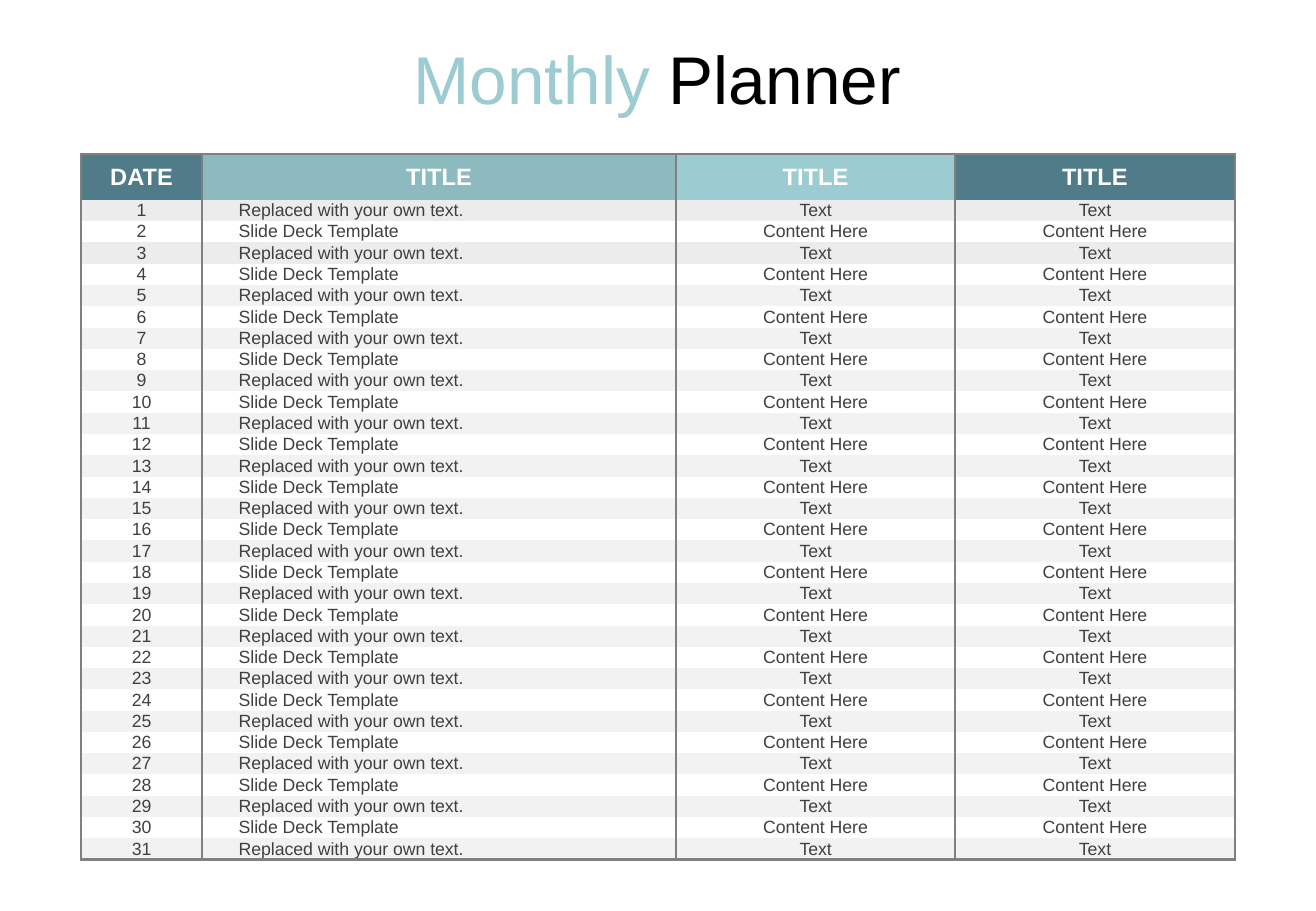
from dataclasses import dataclass

import pptx
import pptx.dml.color
import pptx.enum.text
import pptx.oxml
import pptx.oxml.ns
import pptx.util
from pptx.util import Cm


@dataclass(frozen=True)
class Theme:
    font: str = "Arial"
    title_size: float = 40
    header_size: float = 14
    body_size: float = 10.5
    border_width: float = 1.5
    dark: str = "507C89"
    medium: str = "8CBABE"
    light: str = "9CCCD2"
    black: str = "000000"
    white: str = "FFFFFF"
    text: str = "404040"
    border: str = "808080"
    top_band: str = "ECECEC"
    band: str = "F2F2F2"
    plain_table: str = "{2D5ABB26-0587-4C30-8999-92F81FD0307C}"


CENTER = pptx.enum.text.PP_ALIGN.CENTER
LEFT = pptx.enum.text.PP_ALIGN.LEFT
DAYS = 31
HEADER_HEIGHT = 0.96
TABLE_HEIGHT = 14.73
COLUMN_WIDTHS = (2.54, 9.9, 5.84, 5.84)
HEADINGS = ("DATE", "TITLE", "TITLE", "TITLE")
ODD_DAY = ("Replaced with your own text.", "Text", "Text")
EVEN_DAY = ("Slide Deck Template", "Content Here", "Content Here")


class PlannerSlide:
    def __init__(self, presentation, theme):
        self.theme = theme
        self.slide = presentation.slides.add_slide(presentation.slide_layouts[6])

    def add_run(self, paragraph, text, size, color, bold=False):
        run = paragraph.add_run()
        run.text = text
        run.font.name = self.theme.font
        run.font.size = pptx.util.Pt(size)
        run.font.bold = bold
        run.font.color.rgb = pptx.dml.color.RGBColor.from_string(color)

    def add_title(self, parts, left, top, width, height):
        shape = self.slide.shapes.add_textbox(Cm(left), Cm(top), Cm(width), Cm(height))
        frame = shape.text_frame
        frame.word_wrap = True
        frame.auto_size = pptx.enum.text.MSO_AUTO_SIZE.SHAPE_TO_FIT_TEXT
        paragraph = frame.paragraphs[0]
        paragraph.alignment = CENTER
        for text, color in parts:
            self.add_run(paragraph, text, self.theme.title_size, color)

    def add_borders(self, cell, sides):
        properties = cell._tc.get_or_add_tcPr()
        for side in sides:
            properties.append(pptx.oxml.parse_xml(
                f'<a:ln{side} {pptx.oxml.ns.nsdecls("a")} w="{pptx.util.Pt(self.theme.border_width)}">'
                f'<a:solidFill><a:srgbClr val="{self.theme.border}"/></a:solidFill></a:ln{side}>'
            ))

    def fill_cell(self, cell, text, fill, size, color, bold, alignment, sides):
        self.add_borders(cell, sides)
        cell.fill.solid()
        cell.fill.fore_color.rgb = pptx.dml.color.RGBColor.from_string(fill)
        cell.vertical_anchor = pptx.enum.text.MSO_ANCHOR.MIDDLE
        paragraph = cell.text_frame.paragraphs[0]
        paragraph.alignment = alignment
        self.add_run(paragraph, text, size, color, bold)

    def day_fill(self, day):
        if day % 2 == 0:
            return self.theme.white
        return self.theme.top_band if day <= 3 else self.theme.band

    def add_planner(self, left, top):
        theme = self.theme
        shape = self.slide.shapes.add_table(
            DAYS + 1, len(COLUMN_WIDTHS), Cm(left), Cm(top),
            Cm(sum(COLUMN_WIDTHS)), Cm(TABLE_HEIGHT),
        )
        table = shape.table
        table.first_row = table.horz_banding = False
        for style in shape.element.iter(pptx.oxml.ns.qn("a:tableStyleId")):
            style.text = theme.plain_table
        for column, width in zip(table.columns, COLUMN_WIDTHS):
            column.width = Cm(width)

        table.rows[0].height = Cm(HEADER_HEIGHT)
        header_fills = (theme.dark, theme.medium, theme.light, theme.dark)
        for index, (heading, fill) in enumerate(zip(HEADINGS, header_fills)):
            self.fill_cell(table.cell(0, index), heading, fill, theme.header_size,
                           theme.white, True, CENTER, "LRT")

        for day in range(1, DAYS + 1):
            table.rows[day].height = Cm((TABLE_HEIGHT - HEADER_HEIGHT) / DAYS)
            sides = "LRB" if day == DAYS else "LR"
            entries = (str(day), *(ODD_DAY if day % 2 else EVEN_DAY))
            for index, text in enumerate(entries):
                cell = table.cell(day, index)
                cell.margin_left = cell.margin_right = Cm(0.76)
                cell.margin_top = cell.margin_bottom = 0
                self.fill_cell(cell, text, self.day_fill(day), theme.body_size, theme.text,
                               False, LEFT if index == 1 else CENTER, sides)


def main():
    presentation = pptx.Presentation()
    presentation.slide_width = Cm(27.51)
    presentation.slide_height = Cm(19.05)
    theme = Theme()
    planner = PlannerSlide(presentation, theme)
    planner.add_title((("Monthly", theme.light), (" Planner", theme.black)),
                      0.94, 0.64, 25.6, 1.96)
    planner.add_planner(1.69, 3.22)
    presentation.save("out.pptx")


if __name__ == "__main__":
    main()
